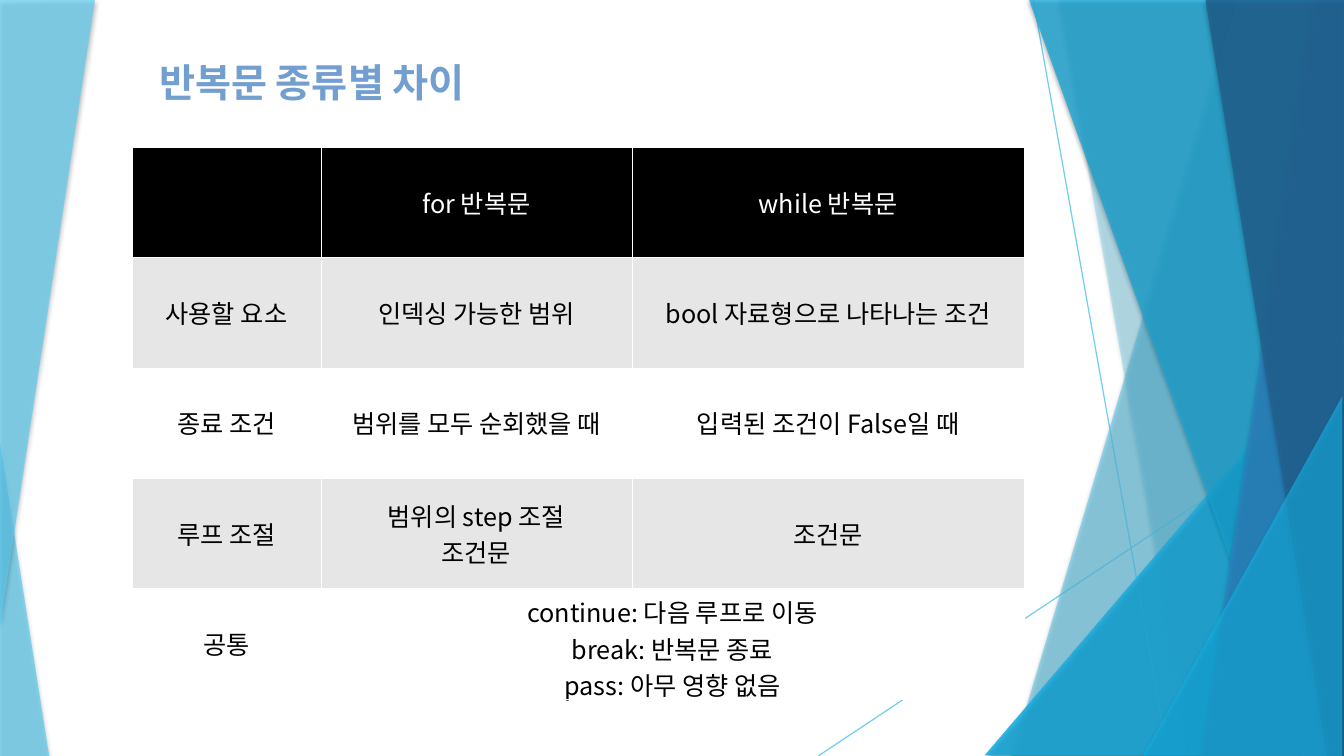
"""Build a slide that compares the kinds of Python loops in a table."""
from lxml import etree
from pptx import Presentation
from pptx.dml.color import RGBColor
from pptx.enum.shapes import MSO_CONNECTOR, MSO_SHAPE
from pptx.enum.text import MSO_ANCHOR, PP_ALIGN
from pptx.oxml.ns import qn
from pptx.util import Cm, Pt

STRAIGHT = MSO_CONNECTOR.STRAIGHT
TRIANGLE = MSO_SHAPE.ISOSCELES_TRIANGLE
MIDDLE = MSO_ANCHOR.MIDDLE
LEFT, CENTER = PP_ALIGN.LEFT, PP_ALIGN.CENTER
FONT = "Noto Sans CJK KR"
WIDTH, HEIGHT, TOP = 33.87, 19.05, -0.02
color = RGBColor.from_string


def paint_facet(shape, fill, opacity):
    """Give a facet a translucent fill, no outline and a soft shadow."""
    shape.fill.solid()
    shape.fill.fore_color.rgb = color(fill)
    shape.line.fill.background()
    shape.shadow.inherit = False
    properties = shape.element.spPr
    for fill_color in properties.iter(qn("a:srgbClr")):
        etree.SubElement(fill_color, qn("a:alpha"), val=str(opacity * 1000))
    effects = properties.find(qn("a:effectLst"))
    shadow = etree.SubElement(effects, qn("a:outerShdw"), blurRad=str(Pt(3)),
                              dist=str(Pt(2)), dir="5400000", rotWithShape="0")
    shadow_color = etree.SubElement(shadow, qn("a:srgbClr"), val="000000")
    etree.SubElement(shadow_color, qn("a:alpha"), val="35000")


def format_text(frame, alignment, font_color, font_format):
    """Format every paragraph of a text frame."""
    for paragraph in frame.paragraphs:
        paragraph.alignment = alignment
        for run in paragraph.runs:
            for name, value in font_format.items():
                setattr(run.font, name, value)
            run.font.color.rgb = color(font_color)
            etree.SubElement(run.font._element, qn("a:ea"), typeface=FONT)


presentation = Presentation()
presentation.slide_width, presentation.slide_height = Cm(WIDTH), Cm(HEIGHT)
slide = presentation.slides.add_slide(presentation.slide_layouts[6])
shapes = slide.shapes

rays = [(26.04, 0, 29.44, HEIGHT), (WIDTH, 10.24, 20.62, HEIGHT)]
large_triangle = (24.82, 8.46, 9.04, 10.57)
small_triangle = (28.8, 9.98, 5.03, 9.07)
corner_triangle = (0, 11.15, 1.24, 7.9)


right_facets = [
    ("band", (31.19, 25.5), "5FCBEF", 36),
    ("band", (26.67, 30.02), "5FCBEF", 20),
    ("triangle", large_triangle, "17B0E4", 66),
    ("band", (25.93, 32.79), "17B0E4", 50),
    ("band", (33.1, 30.28), "2E83C3", 70),
    ("band", (30.38, 33.45), "226292", 80),
    ("triangle", small_triangle, "17B0E4", 66),
]
left_facets = [
    ("triangle", corner_triangle, "5FCBEF", 70),
    ("outline", [(0, 0), (2.39, TOP), (2.39, 0.03), (0, 15.8)], "5FCBEF", 70),
]

for facets in (right_facets + left_facets, right_facets):
    for ray in rays:
        connector = shapes.add_connector(STRAIGHT, *map(Cm, ray))
        connector.line.width = Pt(0.75)
        connector.line.color.rgb = color("5FCBEF")
        properties = connector.element.spPr
        for line_color in properties.iter(qn("a:srgbClr")):
            etree.SubElement(line_color, qn("a:alpha"), val="70000")
        etree.SubElement(properties, qn("a:effectLst"))
    for kind, geometry, fill, opacity in facets:
        if kind == "triangle":
            facet = shapes.add_shape(TRIANGLE, *map(Cm, geometry))
            facet.adjustments[0] = 0 if geometry == corner_triangle else 1
        else:
            points = geometry
            if kind == "band":
                upper, lower = geometry
                points = [(upper, TOP), (WIDTH, TOP), (WIDTH, HEIGHT), (lower, HEIGHT)]
            corners = [(Cm(x), Cm(y)) for x, y in points]
            builder = shapes.build_freeform(*corners[0])
            builder.add_line_segments(corners[1:], close=True)
            facet = builder.convert_to_shape()
        paint_facet(facet, fill, opacity)

title = shapes.add_textbox(Cm(4.01), Cm(0.84), Cm(20.57), Cm(2.57)).text_frame
title_format = {"word_wrap": True, "vertical_anchor": MIDDLE, "margin_left": 0,
                "margin_right": 0, "margin_top": 0, "margin_bottom": 0}
for name, value in title_format.items():
    setattr(title, name, value)
title.text = "반복문 종류별 차이"
title.paragraphs[0].line_spacing = 0.9
format_text(title, LEFT, "729FCF", {"name": FONT, "size": Pt(28), "bold": True})

rows = [
    ("", "for 반복문", "while 반복문"),
    ("사용할 요소", "인덱싱 가능한 범위", "bool 자료형으로 나타나는 조건"),
    ("종료 조건", "범위를 모두 순회했을 때", "입력된 조건이 False일 때"),
    ("루프 조절", "범위의 step 조절\n조건문", "조건문"),
    ("공통", "continue: 다음 루프로 이동\nbreak: 반복문 종료\npass: 아무 영향 없음", ""),
]
column_widths = [4.75, 7.85, 9.88]
row_height = 2.78
table = shapes.add_table(len(rows), len(column_widths), Cm(3.33), Cm(3.71),
                         Cm(sum(column_widths)), Cm(row_height * len(rows))).table
for column, width in zip(table.columns, column_widths):
    column.width = Cm(width)
for row_index, texts in enumerate(rows):
    table.rows[row_index].height = Cm(row_height)
    body_fill = "E6E6E6" if row_index % 2 else "FFFFFF"
    row_fill, text_color = (body_fill, "000000") if row_index else ("000000", "FFFFFF")
    for column_index, text in enumerate(texts):
        cell = table.cell(row_index, column_index)
        cell.text = text
        cell.vertical_anchor = MIDDLE
        format_text(cell.text_frame, CENTER, text_color,
                    {"name": FONT, "size": Pt(18), "bold": False})
        for side in ("a:lnL", "a:lnR", "a:lnT", "a:lnB"):
            border = etree.SubElement(cell._tc.get_or_add_tcPr(), qn(side), w=str(Pt(0.06)))
            border_fill = etree.SubElement(border, qn("a:solidFill"))
            etree.SubElement(border_fill, qn("a:srgbClr"), val="FFFFFF")
        cell.fill.solid()
        cell.fill.fore_color.rgb = color(row_fill)
table.cell(4, 1).merge(table.cell(4, 2))

presentation.save("out.pptx")
